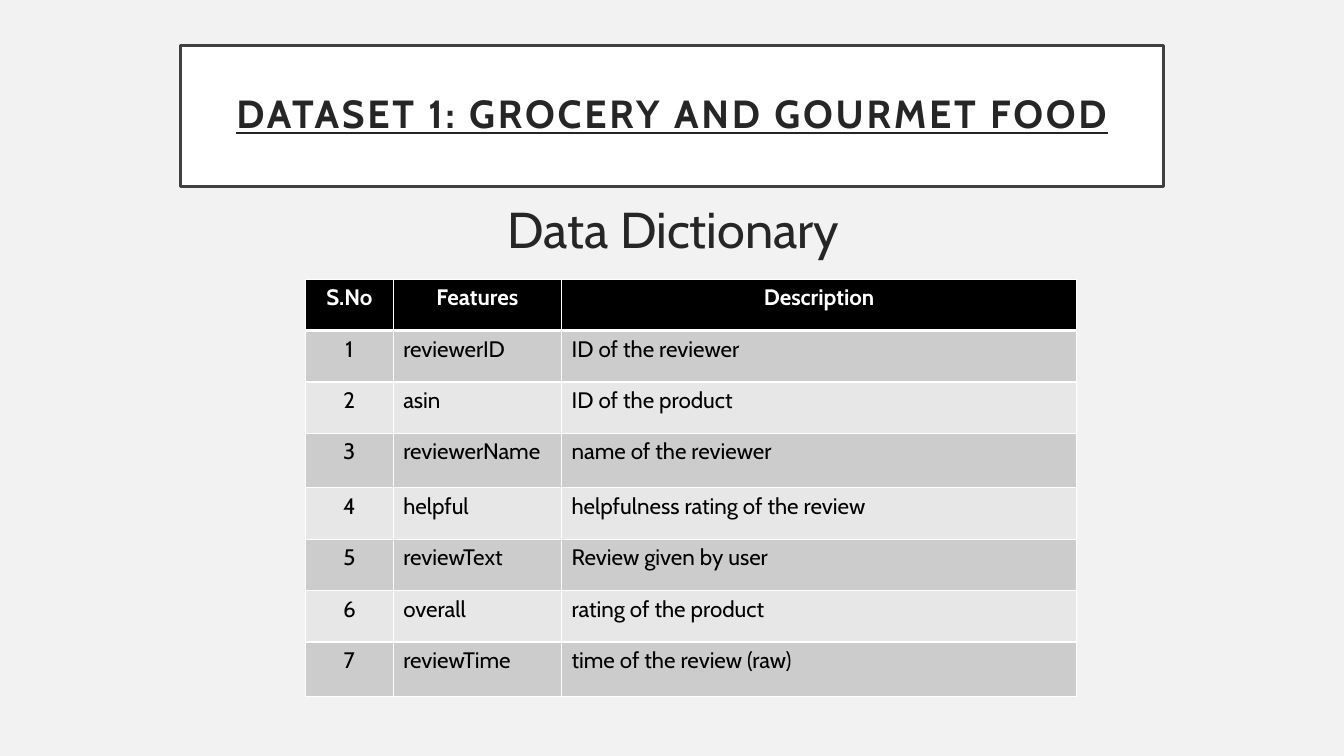
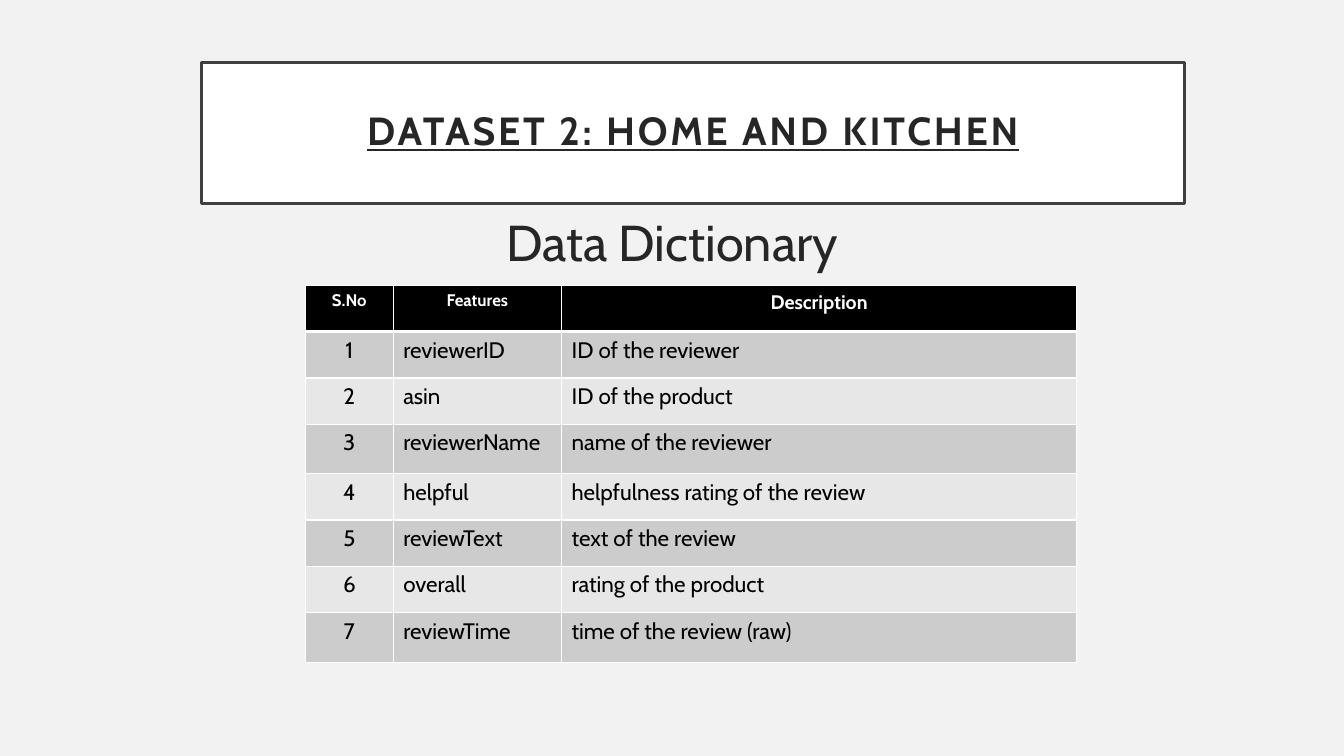
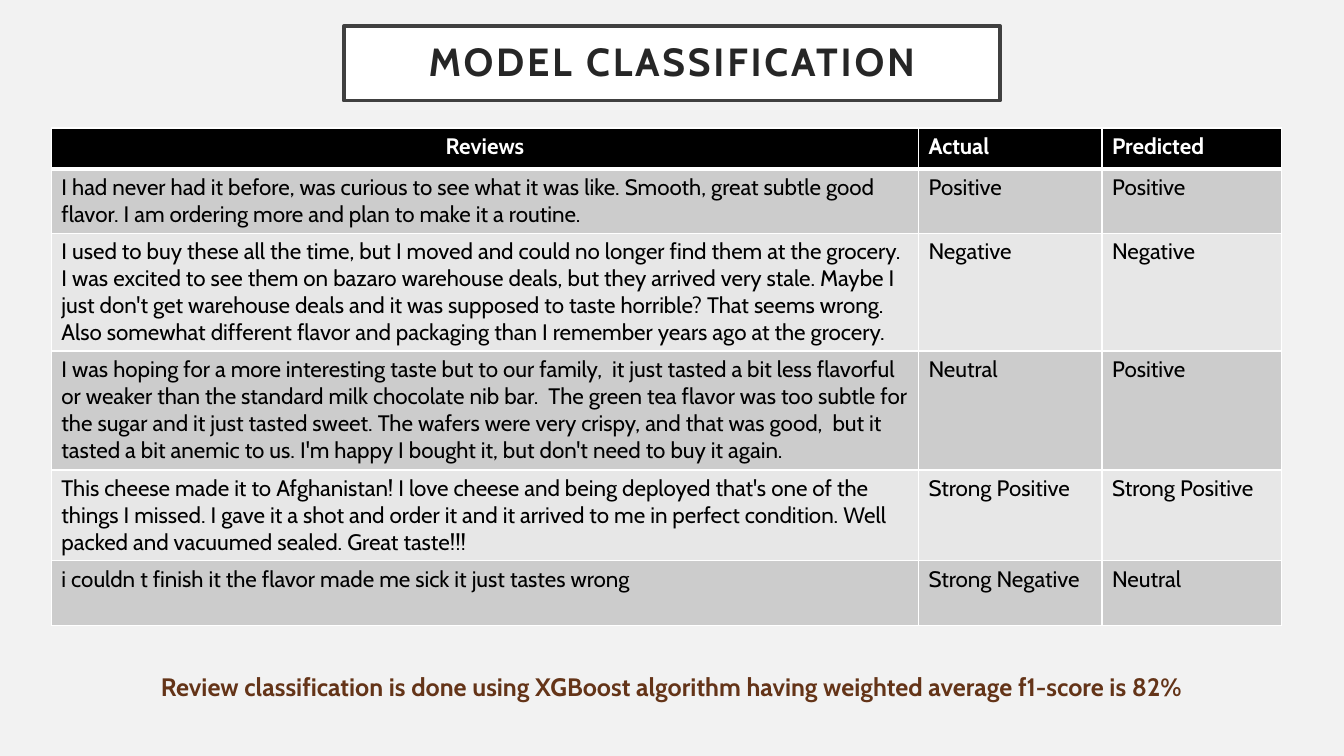
import pptx
import pptx.dml.color
import pptx.enum.shapes
import pptx.enum.text
import pptx.oxml
import pptx.oxml.ns
import pptx.util

PIXEL = 9144
FONT = "Cabin"
COLORS = {
    "background": "F2F2F2",
    "white": "FFFFFF",
    "frame": "404040",
    "title": "262626",
    "black": "000000",
    "odd": "CCCCCC",
    "even": "E7E7E7",
    "brown": "643418",
}
LEFT = pptx.enum.text.PP_ALIGN.LEFT
CENTER = pptx.enum.text.PP_ALIGN.CENTER
TITLE_FORMAT = {"size": pptx.util.Pt(28), "bold": True}
HEADING_FORMAT = {"size": pptx.util.Pt(36)}
CAPTION_FORMAT = {"size": pptx.util.Pt(18), "bold": True}


class Deck:
    """Hold the shared style and the current slide, and draw each kind of element."""

    def __init__(self, width, height):
        self.presentation = pptx.Presentation()
        self.presentation.slide_width = self.length(width)
        self.presentation.slide_height = self.length(height)
        self.slide = None

    def length(self, pixels):
        return pptx.util.Emu(pixels * PIXEL)

    def place(self, box):
        return [self.length(value) for value in box]

    def color(self, name):
        return pptx.dml.color.RGBColor.from_string(COLORS[name])

    def paint(self, fill, name):
        fill.solid()
        fill.fore_color.rgb = self.color(name)

    def add_slide(self):
        self.slide = self.presentation.slides.add_slide(self.presentation.slide_layouts[6])
        self.paint(self.slide.background.fill, "background")

    def fill_text(self, frame, text, color, formats, alignment=CENTER):
        frame.word_wrap = True
        paragraph = frame.paragraphs[0]
        paragraph.alignment = alignment
        run = paragraph.add_run()
        run.text = text
        run.font.name = FONT
        run.font.color.rgb = self.color(color)
        for name, value in formats.items():
            setattr(run.font, name, value)
        return paragraph

    def title(self, text, box, underline=False):
        shape = self.slide.shapes.add_shape(
            pptx.enum.shapes.MSO_SHAPE.RECTANGLE, *self.place(box))
        shape.shadow.inherit = False
        self.paint(shape.fill, "white")
        shape.line.color.rgb = self.color("frame")
        shape.line.width = pptx.util.Pt(2.5)
        frame = shape.text_frame
        frame.vertical_anchor = pptx.enum.text.MSO_ANCHOR.MIDDLE
        for side in ("left", "top", "right", "bottom"):
            setattr(frame, f"margin_{side}", self.length(20))
        paragraph = self.fill_text(
            frame, text, "title", {**TITLE_FORMAT, "underline": underline})
        paragraph.line_spacing = 0.9
        paragraph.runs[0].font._element.set("spc", "200")

    def text(self, text, box, color, formats):
        shape = self.slide.shapes.add_textbox(*self.place(box))
        self.fill_text(shape.text_frame, text, color, formats)

    def borders(self, cell, widths):
        properties = cell._tc.get_or_add_tcPr()
        for side, width in zip("LRTB", widths):
            properties.append(pptx.oxml.parse_xml(
                f'<a:ln{side} {pptx.oxml.ns.nsdecls("a")} w="{pptx.util.Pt(width)}">'
                f'<a:solidFill><a:srgbClr val="{COLORS["white"]}"/></a:solidFill>'
                f'</a:ln{side}>'))

    def table(self, left, top, widths, heights, header, rows, alignments):
        box = (left, top, sum(widths), sum(heights))
        table = self.slide.shapes.add_table(
            len(heights), len(widths), *self.place(box)).table
        table.first_row = table.horz_banding = False
        for column, width in zip(table.columns, widths):
            column.width = self.length(width)
        for row, height in zip(table.rows, heights):
            row.height = self.length(height)
        for column, (text, size, alignment) in enumerate(header):
            cell = table.cell(0, column)
            self.borders(cell, (1, 1, 1, 3))
            self.paint(cell.fill, "black")
            formats = {"size": pptx.util.Pt(size), "bold": True}
            self.fill_text(cell.text_frame, text, "white", formats, alignment)
        for number, values in enumerate(rows, 1):
            for column, text in enumerate(values):
                cell = table.cell(number, column)
                self.borders(cell, (1, 1, 3 if number == 1 else 1, 1))
                self.paint(cell.fill, "odd" if number % 2 else "even")
                formats = {"size": pptx.util.Pt(16), "bold": False}
                self.fill_text(cell.text_frame, text, "black", formats, alignments[column])


FEATURES = {
    "reviewerID": "ID of the reviewer",
    "asin": "ID of the product",
    "reviewerName": "name of the reviewer",
    "helpful": "helpfulness rating of the review",
    "reviewText": "text of the review",
    "overall": "rating of the product",
    "reviewTime": "time of the review (raw)",
}
DICTIONARIES = [
    {
        "title": "DATASET 1: GROCERY AND GOURMET FOOD",
        "title_box": (179, 45, 975, 140),
        "heading_box": (466, 192, 404, 49),
        "top": 277,
        "heights": (51, 54),
        "header_sizes": (16, 16, 16),
        "features": {**FEATURES, "reviewText": "Review given by user"},
    },
    {
        "title": "DATASET 2: HOME AND KITCHEN",
        "title_box": (200, 62, 975, 140),
        "heading_box": (179, 205, 975, 66),
        "top": 283,
        "heights": (46, 49),
        "header_sizes": (12, 12, 14),
        "features": FEATURES,
    },
]
REVIEWS = [
    ("I had never had it before, was curious to see what it was like. Smooth, great subtle "
     "good flavor. I am ordering more and plan to make it a routine.",
     "Positive", "Positive"),
    ("I used to buy these all the time, but I moved and could no longer find them at the "
     "grocery. I was excited to see them on bazaro warehouse deals, but they arrived very "
     "stale. Maybe I just don't get warehouse deals and it was supposed to taste horrible? "
     "That seems wrong. Also somewhat different flavor and packaging than I remember years "
     "ago at the grocery.",
     "Negative", "Negative"),
    ("I was hoping for a more interesting taste but to our family,  it just tasted a bit less "
     "flavorful or weaker than the standard milk chocolate nib bar.  The green tea flavor was "
     "too subtle for the sugar and it just tasted sweet. The wafers were very crispy, and that "
     "was good,  but it tasted a bit anemic to us. I'm happy I bought it, but don't need to "
     "buy it again.",
     "Neutral", "Positive"),
    ("This cheese made it to Afghanistan! I love cheese and being deployed that's one of the "
     "things I missed. I gave it a shot and order it and it arrived to me in perfect "
     "condition. Well packed and vacuumed sealed. Great taste!!!",
     "Strong Positive", "Strong Positive"),
    ("i couldn t finish it the flavor made me sick it just tastes wrong",
     "Strong Negative", "Neutral"),
]


def add_dictionary(deck, content):
    deck.add_slide()
    deck.title(content["title"], content["title_box"], underline=True)
    deck.text("Data Dictionary", content["heading_box"], "title", HEADING_FORMAT)
    normal, tall = content["heights"]
    names = ("S.No", "Features", "Description")
    deck.table(
        303, content["top"], (87, 167, 511),
        [tall if row in (3, 7) else normal for row in range(8)],
        [(name, size, CENTER) for name, size in zip(names, content["header_sizes"])],
        [(str(number), *feature)
         for number, feature in enumerate(content["features"].items(), 1)],
        (CENTER, LEFT, LEFT))


def add_classification(deck):
    deck.add_slide()
    deck.title("MODEL CLASSIFICATION", (341, 26, 651, 74))
    deck.table(
        51, 127, (860, 182, 178), (41, 63, 117, 118, 90, 64),
        [("Reviews", 16, CENTER), ("Actual", 16, LEFT), ("Predicted", 16, LEFT)],
        REVIEWS, (LEFT, LEFT, LEFT))
    deck.text(
        "Review classification is done using XGBoost algorithm having weighted average "
        "f1-score is 82%",
        (58, 661, 1216, 40), "brown", CAPTION_FORMAT)


def main():
    deck = Deck(1333, 750)
    for content in DICTIONARIES:
        add_dictionary(deck, content)
    add_classification(deck)
    deck.presentation.save("out.pptx")


if __name__ == "__main__":
    main()
